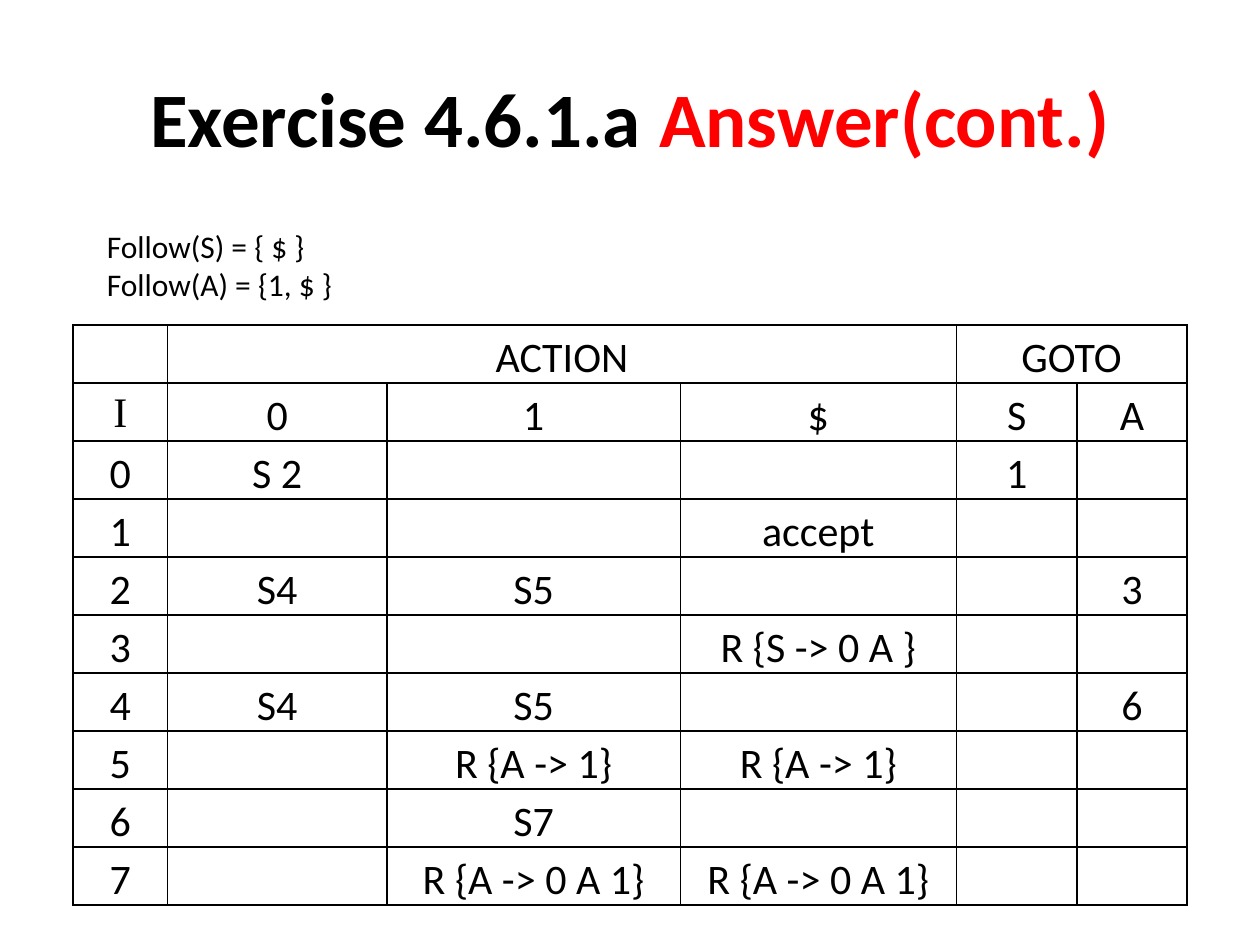
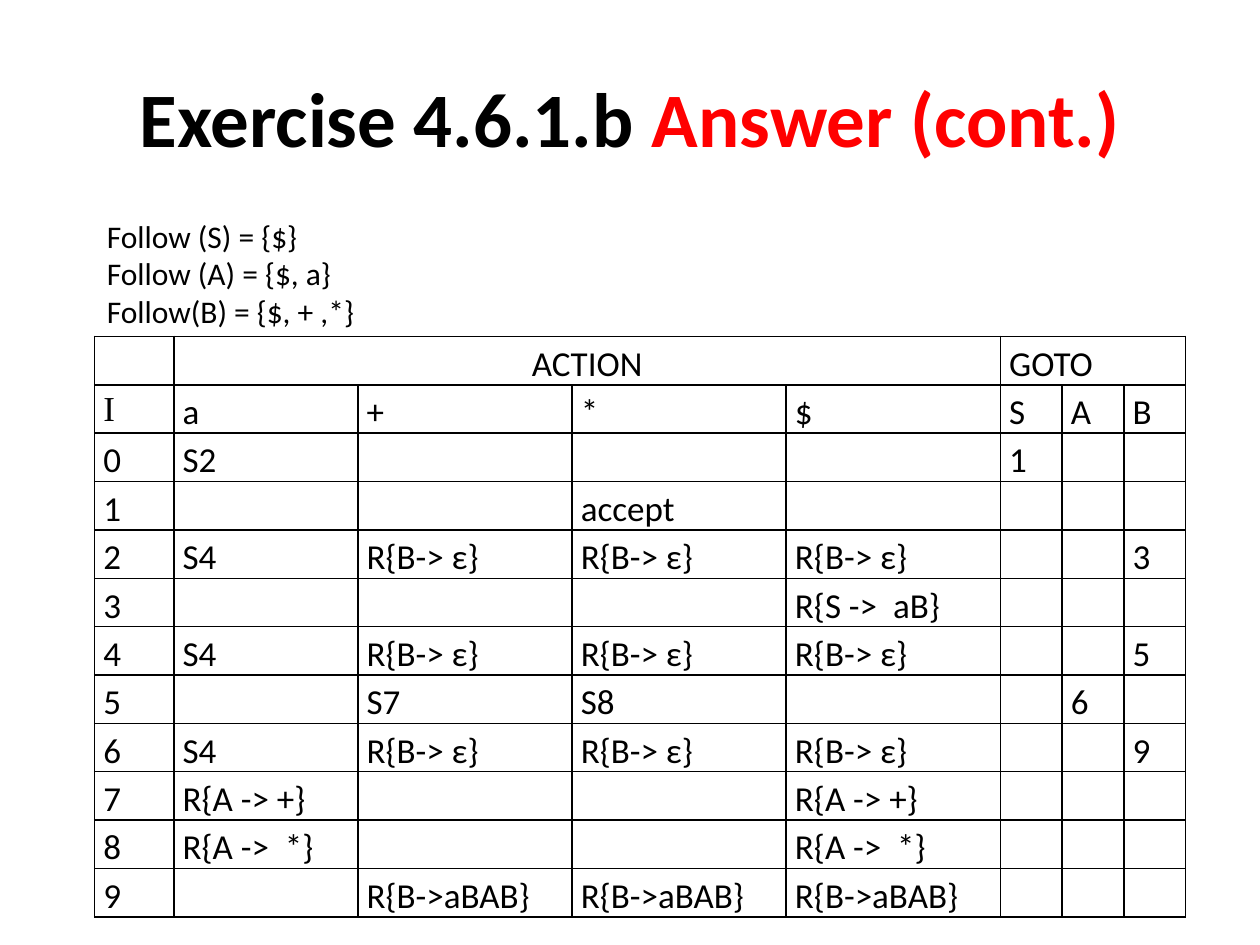
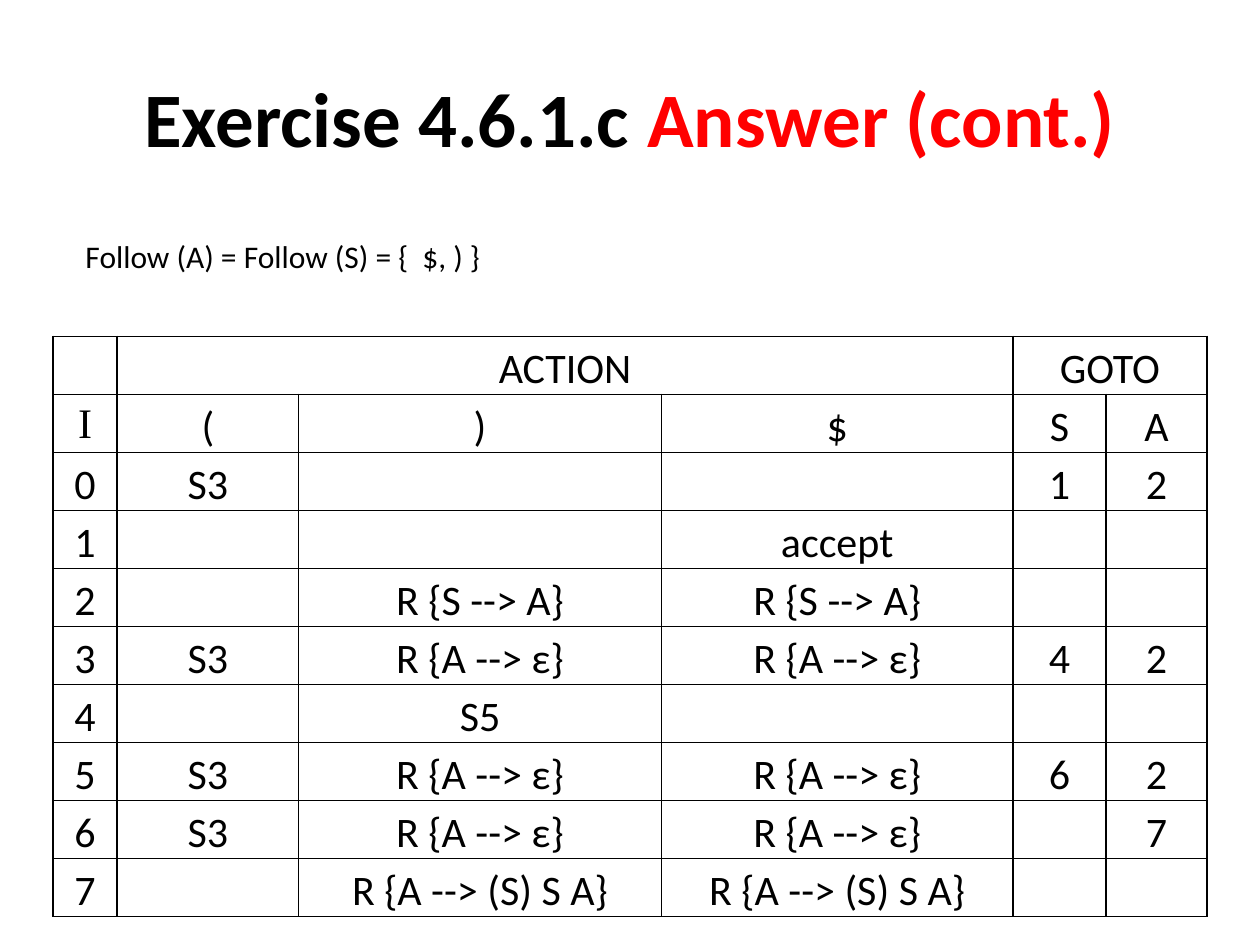
"""Build three slides with the SLR parsing tables of exercise 4.6.1."""
import pptx
import pptx.dml.color
import pptx.enum.text
import pptx.oxml
import pptx.oxml.ns
import pptx.util

Inches = pptx.util.Inches
ALIGN = pptx.enum.text.PP_ALIGN
COLORS = {"text": "000000", "answer": "FF0000", "border": "000000"}
FONT = "Calibri"
STATE_FONT = "Times New Roman"

EXERCISES = [
    {
        "title": ("Exercise 4.6.1.a ", "Answer(cont.)"),
        "follow": ["Follow(S) = { $ }", "Follow(A) = {1, $ }"],
        "follow_box": (0.75, 1.75, 5, 0.71),
        "wrap": True,
        "table_at": (0.58, 2.58),
        "columns": [0.75, 1.74, 2.33, 2.19, 0.96, 0.87],
        "row_height": 0.43,
        "size": 24,
        "align": ALIGN.CENTER,
        "action_columns": 3,
        "rows": [
            "I|0|1|$|S|A",
            "0|S 2|||1|",
            "1|||accept||",
            "2|S4|S5|||3",
            "3|||R {S -> 0 A }||",
            "4|S4|S5|||6",
            "5||R {A -> 1}|R {A -> 1}||",
            "6||S7|||",
            "7||R {A -> 0 A 1}|R {A -> 0 A 1}||",
        ],
    },
    {
        "title": ("Exercise 4.6.1.b ", "Answer (cont.)"),
        "follow": ["Follow (S) = {$}", "Follow (A) = {$, a}", "Follow(B) = {$, + ,*}"],
        "follow_box": (0.75, 1.67, 5, 1.01),
        "wrap": True,
        "table_at": (0.75, 2.67),
        "columns": [0.63, 1.46, 1.7, 1.7, 1.7, 0.49, 0.49, 0.49],
        "row_height": 0.34,
        "size": 20,
        "align": ALIGN.LEFT,
        "action_columns": 4,
        "rows": [
            "I|a|+|*|$|S|A|B",
            "0|S2||||1||",
            "1|||accept||||",
            "2|S4|R{B-> ε}|R{B-> ε}|R{B-> ε}|||3",
            "3||||R{S ->  aB}|||",
            "4|S4|R{B-> ε}|R{B-> ε}|R{B-> ε}|||5",
            "5||S7|S8|||6|",
            "6|S4|R{B-> ε}|R{B-> ε}|R{B-> ε}|||9",
            "7|R{A -> +}|||R{A -> +}|||",
            "8|R{A ->  *}|||R{A ->  *}|||",
            "9||R{B->aBAB}|R{B->aBAB}|R{B->aBAB}|||",
        ],
    },
    {
        "title": ("Exercise 4.6.1.c ", "Answer (cont.)"),
        "follow": ["Follow (A) = Follow (S) = {  $, ) }"],
        "follow_box": (0.58, 1.83, 3.38, 0.4),
        "wrap": False,
        "table_at": (0.42, 2.67),
        "columns": [0.51, 1.44, 2.88, 2.79, 0.74, 0.8],
        "row_height": 0.41,
        "size": 24,
        "align": ALIGN.CENTER,
        "action_columns": 3,
        "rows": [
            "I|(|)|$|S|A",
            "0|S3|||1|2",
            "1|||accept||",
            "2||R {S --> A}|R {S --> A}||",
            "3|S3|R {A --> ε}|R {A --> ε}|4|2",
            "4||S5|||",
            "5|S3|R {A --> ε}|R {A --> ε}|6|2",
            "6|S3|R {A --> ε}|R {A --> ε}||7",
            "7||R {A --> (S) S A}|R {A --> (S) S A}||",
        ],
    },
]


def add_run(paragraph, text, size, color="text", font=FONT, bold=False):
    run = paragraph.add_run()
    run.text = text
    run.font.size = pptx.util.Pt(size)
    run.font.name = font
    run.font.bold = bold
    run.font.color.rgb = pptx.dml.color.RGBColor.from_string(COLORS[color])


def style_cell(cell):
    cell.margin_left = cell.margin_right = Inches(0.07)
    cell.margin_top = cell.margin_bottom = 0
    properties = cell._tc.get_or_add_tcPr()
    for side in ("lnL", "lnR", "lnT", "lnB"):
        properties.append(pptx.oxml.parse_xml(
            f'<a:{side} {pptx.oxml.ns.nsdecls("a")} w="12700"><a:solidFill>'
            f'<a:srgbClr val="{COLORS["border"]}"/></a:solidFill></a:{side}>'))
    cell.fill.background()


presentation = pptx.Presentation()
presentation.slide_width = Inches(10)
presentation.slide_height = Inches(7.5)

for exercise in EXERCISES:
    slide = presentation.slides.add_slide(presentation.slide_layouts[6])

    title_box = slide.shapes.add_textbox(Inches(0.5), Inches(0.3), Inches(9), Inches(1.25))
    title_box.text_frame.word_wrap = True
    title_box.text_frame.vertical_anchor = pptx.enum.text.MSO_ANCHOR.MIDDLE
    title = title_box.text_frame.paragraphs[0]
    title.alignment = ALIGN.CENTER
    for text, color in zip(exercise["title"], ("text", "answer")):
        add_run(title, text, 44, color, bold=True)

    action_columns = exercise["action_columns"]
    goto_column = action_columns + 1
    header = [""] * len(exercise["columns"])
    header[1], header[goto_column] = "ACTION", "GOTO"
    rows = [header] + [row.split("|") for row in exercise["rows"]]
    left, top = exercise["table_at"]
    table = slide.shapes.add_table(
        len(rows), len(header), Inches(left), Inches(top),
        Inches(sum(exercise["columns"])), Inches(exercise["row_height"] * len(rows))).table
    table.first_row = table.horz_banding = False
    for column, width in zip(table.columns, exercise["columns"]):
        column.width = Inches(width)
    for row_index, row in enumerate(rows):
        table.rows[row_index].height = Inches(exercise["row_height"])
        for column_index, text in enumerate(row):
            cell = table.cell(row_index, column_index)
            style_cell(cell)
            if text:
                paragraph = cell.text_frame.paragraphs[0]
                paragraph.alignment = ALIGN.CENTER if text == "ACTION" else exercise["align"]
                paragraph.line_spacing = 1.15
                add_run(paragraph, text, exercise["size"],
                        font=STATE_FONT if text == "I" else FONT)
    table.cell(0, 1).merge(table.cell(0, action_columns))
    table.cell(0, goto_column).merge(table.cell(0, len(header) - 1))

    follow_box = slide.shapes.add_textbox(*map(Inches, exercise["follow_box"]))
    follow_frame = follow_box.text_frame
    follow_frame.word_wrap = exercise["wrap"]
    follow_frame.auto_size = pptx.enum.text.MSO_AUTO_SIZE.SHAPE_TO_FIT_TEXT
    for index, text in enumerate(exercise["follow"]):
        paragraph = follow_frame.add_paragraph() if index else follow_frame.paragraphs[0]
        add_run(paragraph, text, 18)

presentation.save("out.pptx")
